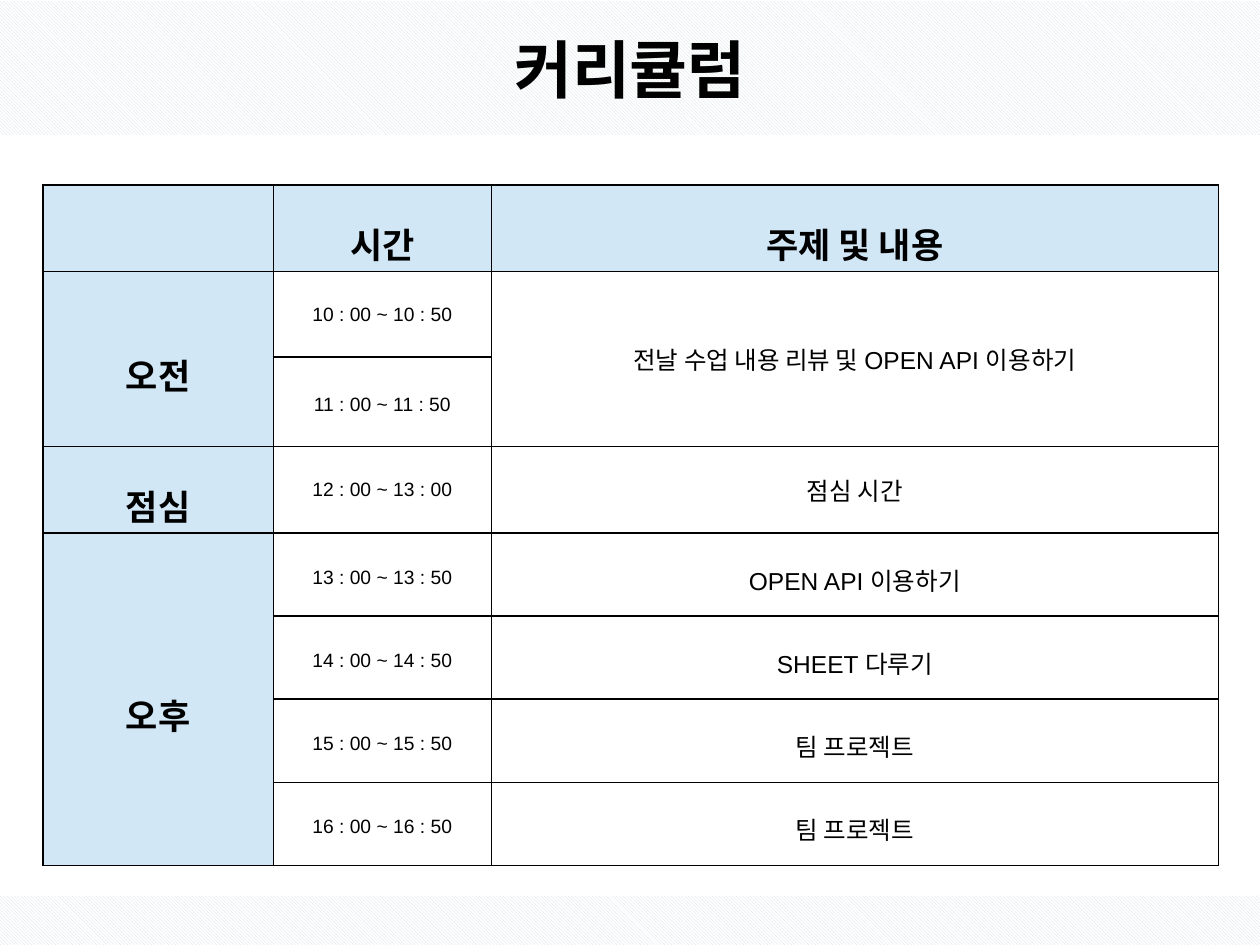
"""Build the one-day curriculum timetable slide."""
from dataclasses import dataclass

import pptx
import pptx.dml.color
import pptx.enum.dml
import pptx.enum.shapes
import pptx.enum.text
import pptx.oxml
import pptx.oxml.ns
import pptx.util


@dataclass(frozen=True)
class Theme:
    """Colours, fonts and type sizes of the deck."""
    ink: str = "000000"
    paper: str = "FFFFFF"
    hatch: str = "CEDEE2"
    heading_fill: str = "D1E7F6"
    latin: str = "Arial"
    korean: str = "Noto Sans CJK KR"
    title_size: int = 36
    heading_size: int = 20
    topic_size: int = 14
    time_size: int = 11
    border: int = 1


class SlideBuilder:
    """Draws on one slide with a grid of 100 columns by 75 rows."""

    def __init__(self, deck, theme):
        """Add a title-only slide to the deck."""
        self.theme = theme
        self.slide = deck.slides.add_slide(deck.slide_layouts[5])
        self.column = deck.slide_width / 100
        self.row = deck.slide_height / 75

    def colour(self, value):
        """Turn a hex string into a colour."""
        return pptx.dml.color.RGBColor.from_string(value)

    def across(self, columns):
        """Measure grid columns."""
        return pptx.util.Emu(round(columns * self.column))

    def down(self, rows):
        """Measure grid rows."""
        return pptx.util.Emu(round(rows * self.row))

    def place(self, shape, top, height):
        """Stretch a shape over the full width at the given rows."""
        shape.left, shape.width = self.across(0), self.across(100)
        shape.top, shape.height = self.down(top), self.down(height)

    def hatch(self, shape):
        """Fill a shape with light diagonal lines."""
        shape.fill.patterned()
        shape.fill.pattern = pptx.enum.dml.MSO_PATTERN.LIGHT_DOWNWARD_DIAGONAL
        shape.fill.fore_color.rgb = self.colour(self.theme.hatch)
        shape.fill.back_color.rgb = self.colour(self.theme.paper)

    def set_text(self, frame, text, size, latin, bold=False, spacing=1.0):
        """Set one centred paragraph."""
        frame.text = text
        paragraph = frame.paragraphs[0]
        paragraph.alignment = pptx.enum.text.PP_ALIGN.CENTER
        paragraph.line_spacing = spacing
        for run in paragraph.runs:
            run.font.size = pptx.util.Pt(size)
            run.font.bold = bold
            run.font.name = latin
            run.font.color.rgb = self.colour(self.theme.ink)
            properties = run._r.get_or_add_rPr()
            properties.find(pptx.oxml.ns.qn("a:latin")).addnext(properties.makeelement(
                pptx.oxml.ns.qn("a:ea"), {"typeface": self.theme.korean}))

    def title(self, text, top, height):
        """Fill the title placeholder on a hatched band."""
        heading = self.slide.shapes.title
        self.place(heading, top, height)
        self.hatch(heading)
        frame = heading.text_frame
        frame.auto_size = pptx.enum.text.MSO_AUTO_SIZE.NONE
        frame.vertical_anchor = pptx.enum.text.MSO_ANCHOR.MIDDLE
        self.set_text(frame, text, self.theme.title_size, self.theme.korean, bold=True)

    def band(self, top, height):
        """Draw a hatched band."""
        strip = self.slide.shapes.add_shape(
            pptx.enum.shapes.MSO_SHAPE.RECTANGLE, 0, 0, 0, 0)
        self.place(strip, top, height)
        self.hatch(strip)
        strip.line.fill.background()
        strip.shadow.inherit = False

    def table(self, left, top, widths, heights):
        """Add a bordered table with plain cells."""
        frame = self.slide.shapes.add_table(
            len(heights), len(widths), self.across(left), self.down(top),
            self.across(sum(widths)), self.down(sum(heights)))
        grid = frame.table
        grid.first_row = grid.horz_banding = False
        for column, width in zip(grid.columns, widths):
            column.width = self.across(width)
        for row, height in zip(grid.rows, heights):
            row.height = self.down(height)
        for cell in grid.iter_cells():
            self.outline(cell)
            self.paint(cell, self.theme.paper)
        return grid

    def outline(self, cell):
        """Give a cell its four borders."""
        properties = cell._tc.get_or_add_tcPr()
        width = pptx.util.Pt(self.theme.border)
        for side in "LRTB":
            properties.append(pptx.oxml.parse_xml(
                f'<a:ln{side} {pptx.oxml.ns.nsdecls("a")} w="{width}"><a:solidFill>'
                f'<a:srgbClr val="{self.theme.ink}"/></a:solidFill></a:ln{side}>'))

    def paint(self, cell, fill):
        """Fill a cell with a flat colour."""
        cell.fill.solid()
        cell.fill.fore_color.rgb = self.colour(fill)

    def cell(self, cell, text, size, bold=False, spacing=1.0):
        """Set centred text in a table cell."""
        cell.vertical_anchor = pptx.enum.text.MSO_ANCHOR.MIDDLE
        cell.margin_left = cell.margin_right = pptx.util.Inches(0.02)
        cell.margin_top = cell.margin_bottom = pptx.util.Inches(0.02)
        self.set_text(cell.text_frame, text, size, self.theme.latin, bold, spacing)

    def heading(self, cell, text):
        """Style a cell as a row or column heading."""
        self.paint(cell, self.theme.heading_fill)
        if text:
            self.cell(cell, text, self.theme.heading_size, bold=True, spacing=1.6)


HEADINGS = ["", "시간", "주제 및 내용"]
PERIODS = [("오전", 1, 2), ("점심", 3, 3), ("오후", 4, 7)]
SESSIONS = [
    ("10 : 00 ~ 10 : 50", "전날 수업 내용 리뷰 및 OPEN API 이용하기", 1.0),
    ("11 : 00 ~ 11 : 50", "", 1.3),
    ("12 : 00 ~ 13 : 00", "점심 시간", 1.0),
    ("13 : 00 ~ 13 : 50", "OPEN API 이용하기", 1.3),
    ("14 : 00 ~ 14 : 50", "SHEET 다루기", 1.3),
    ("15 : 00 ~ 15 : 50", "팀 프로젝트", 1.3),
    ("16 : 00 ~ 16 : 50", "팀 프로젝트", 1.3),
]


def main():
    """Build and save the slide."""
    deck = pptx.Presentation()
    deck.slide_width, deck.slide_height = pptx.util.Inches(10), pptx.util.Inches(7.5)
    theme = Theme()
    page = SlideBuilder(deck, theme)
    page.title("커리큘럼", 0.1, 10.6)
    page.band(71.1, 3.9)

    timetable = page.table(3.4, 14.7, [18.3, 17.3, 57.7], [5.8, 6.8, 7.1] + [6.6] * 5)
    for column, label in enumerate(HEADINGS):
        page.heading(timetable.cell(0, column), label)
    for period, first, last in PERIODS:
        if last > first:
            timetable.cell(first, 0).merge(timetable.cell(last, 0))
        page.heading(timetable.cell(first, 0), period)
    timetable.cell(1, 2).merge(timetable.cell(2, 2))
    for row, (time, topic, spacing) in enumerate(SESSIONS, start=1):
        page.cell(timetable.cell(row, 1), time, theme.time_size, spacing=spacing)
        if topic:
            page.cell(timetable.cell(row, 2), topic, theme.topic_size, spacing=spacing)
    deck.save("out.pptx")


if __name__ == "__main__":
    main()
